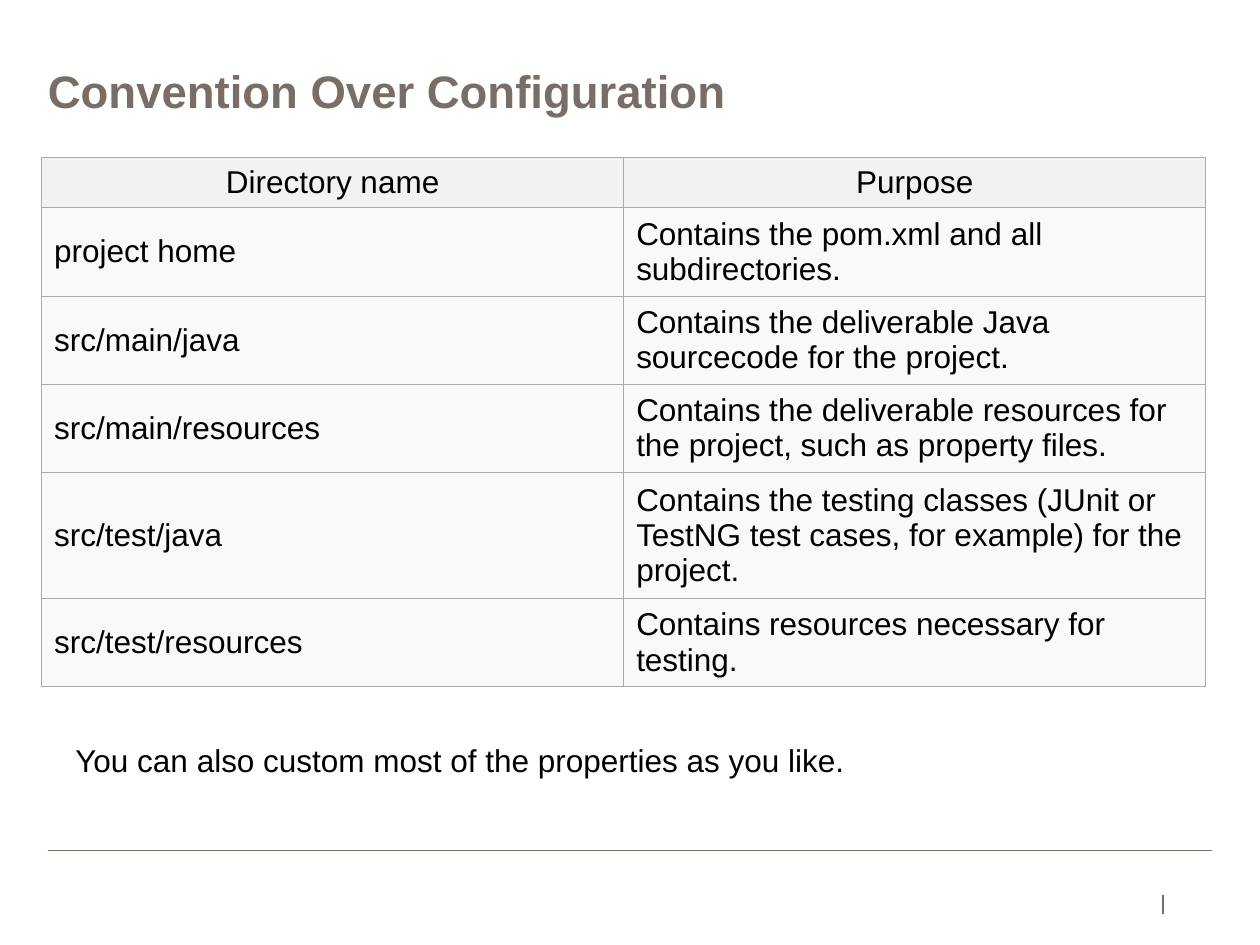
from dataclasses import dataclass
from typing import Any

from lxml.etree import SubElement
from pptx import Presentation
from pptx.dml.color import RGBColor
from pptx.enum.shapes import MSO_CONNECTOR
from pptx.enum.text import MSO_ANCHOR, PP_ALIGN
from pptx.oxml.ns import qn
from pptx.util import Inches, Pt


@dataclass(frozen=True)
class Theme:
    font: str = "Arial"
    page: str = "FFFFFF"
    brand: str = "796E65"
    ink: str = "000000"
    head: str = "F2F2F2"
    body: str = "F9F9F9"
    grid: str = "AAAAAA"
    title: float = 26
    text: float = 18
    rule: float = 1
    edge: float = 0.75


@dataclass(frozen=True)
class Row:
    name: str
    purpose: str
    height: float = 0.7


@dataclass(frozen=True)
class Rule:
    left: float
    top: float
    right: float
    bottom: float


@dataclass(frozen=True)
class Label:
    text: str
    left: float
    top: float
    width: float
    height: float
    size: float
    color: str
    bold: bool = False
    inset: tuple[float, float] = (0.1, 0.05)


THEME = Theme()
ROWS = [
    Row("Directory name", "Purpose", 0.4),
    Row("project home", "Contains the pom.xml and all subdirectories."),
    Row("src/main/java", "Contains the deliverable Java sourcecode for the project."),
    Row("src/main/resources",
        "Contains the deliverable resources for the project, such as property files."),
    Row("src/test/java",
        "Contains the testing classes (JUnit or TestNG test cases, for example) for the project.",
        1),
    Row("src/test/resources", "Contains resources necessary for testing."),
]
RULES = [Rule(0.38, 6.75, 9.62, 6.75), Rule(9.23, 7.1, 9.23, 7.25)]
LABELS = [
    Label("Convention Over Configuration", 0.38, 0.5, 9.24, 1.01,
          THEME.title, THEME.brand, True, (0, 0)),
    Label("You can also custom most of the properties as you like.",
          0.5, 5.83, 8.33, 0.4, THEME.text, THEME.ink),
]


def write(frame: Any, text: str, size: float, color: str, bold: bool = False) -> None:
    run = frame.paragraphs[0].add_run()
    run.text = text
    run.font.name = THEME.font
    run.font.size = Pt(size)
    run.font.bold = bold
    run.font.color.rgb = RGBColor.from_string(color)


def draw_rule(slide: Any, rule: Rule) -> None:
    line = slide.shapes.add_connector(
        MSO_CONNECTOR.STRAIGHT, Inches(rule.left), Inches(rule.top),
        Inches(rule.right), Inches(rule.bottom))
    line.line.color.rgb = RGBColor.from_string(THEME.brand)
    line.line.width = Pt(THEME.rule)
    SubElement(line._element.spPr, qn("a:effectLst"))


def draw_label(slide: Any, label: Label) -> None:
    box = slide.shapes.add_textbox(
        Inches(label.left), Inches(label.top), Inches(label.width), Inches(label.height))
    frame = box.text_frame
    frame.word_wrap = True
    side, end = label.inset
    frame.margin_left = frame.margin_right = Inches(side)
    frame.margin_top = frame.margin_bottom = Inches(end)
    write(frame, label.text, label.size, label.color, label.bold)


def draw_edges(cell: Any) -> None:
    props = cell._tc.get_or_add_tcPr()
    for spot, side in enumerate(("lnL", "lnR", "lnT", "lnB")):
        line = props.makeelement(qn(f"a:{side}"), {"w": str(Pt(THEME.edge))})
        fill = SubElement(line, qn("a:solidFill"))
        SubElement(fill, qn("a:srgbClr"), val=THEME.grid)
        props.insert(spot, line)


def draw_table(slide: Any, rows: list[Row]) -> None:
    total = sum(row.height for row in rows)
    table = slide.shapes.add_table(
        len(rows), 2, Inches(0.33), Inches(1.25), Inches(9.24), Inches(total)).table
    for index, row in enumerate(rows):
        table.rows[index].height = Inches(row.height)
        for column, text in enumerate((row.name, row.purpose)):
            cell = table.cell(index, column)
            cell.vertical_anchor = MSO_ANCHOR.MIDDLE
            cell.fill.solid()
            cell.fill.fore_color.rgb = RGBColor.from_string(
                THEME.body if index else THEME.head)
            write(cell.text_frame, text, THEME.text, THEME.ink)
            cell.text_frame.paragraphs[0].alignment = (
                PP_ALIGN.LEFT if index else PP_ALIGN.CENTER)
            draw_edges(cell)


def main() -> None:
    """Build the slide on convention over configuration."""
    deck = Presentation()
    deck.slide_width, deck.slide_height = Inches(10), Inches(7.5)
    slide = deck.slides.add_slide(deck.slide_layouts[6])
    slide.background.fill.solid()
    slide.background.fill.fore_color.rgb = RGBColor.from_string(THEME.page)
    for rule in RULES:
        draw_rule(slide, rule)
    draw_table(slide, ROWS)
    for label in LABELS:
        draw_label(slide, label)
    deck.save("out.pptx")


if __name__ == "__main__":
    main()
